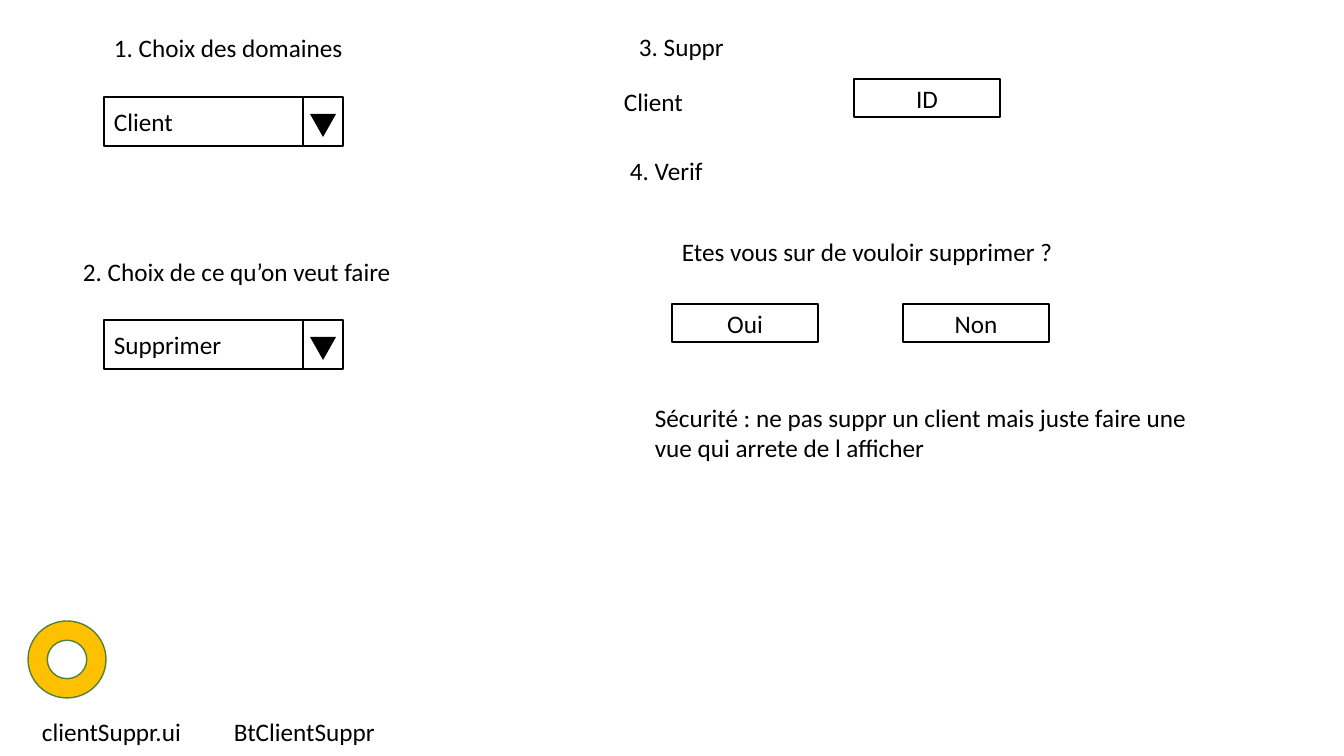
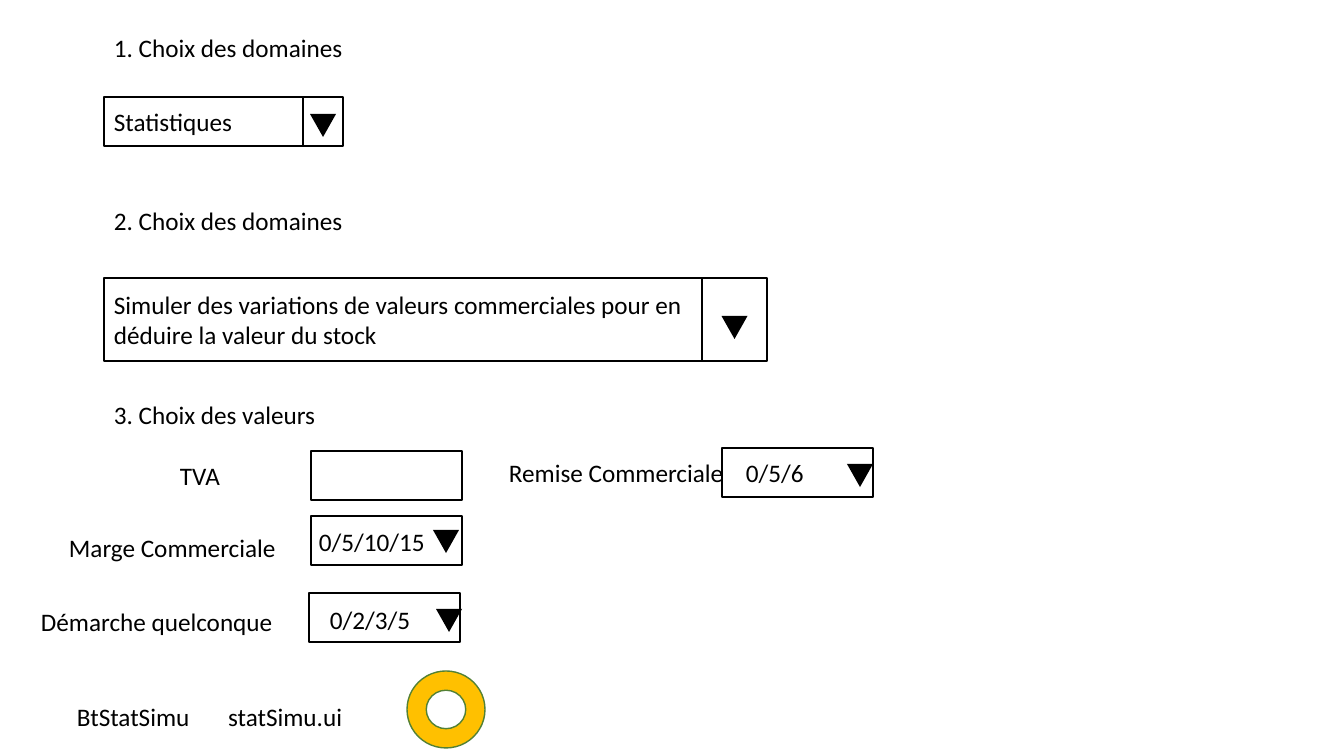
from dataclasses import dataclass

from pptx import Presentation
from pptx.dml.color import RGBColor
from pptx.enum.shapes import MSO_SHAPE
from pptx.enum.text import MSO_ANCHOR, PP_ALIGN
from pptx.util import Emu, Pt


@dataclass(frozen=True)
class Theme:
    ink: RGBColor = RGBColor(0x00, 0x00, 0x00)
    gold: RGBColor = RGBColor(0xFF, 0xC0, 0x00)
    green: RGBColor = RGBColor(0x53, 0x81, 0x35)
    font: str = "Calibri"
    size: Pt = Pt(18)
    line: Pt = Pt(1)


THEME = Theme()
EMU_PER_PX = 914400 / 100.8
SLIDE_W, SLIDE_H = 1344, 756
LEFT = 104
LINE_H = 40
ROW_H = 49
FIELD_W = 151
BUTTON_W, BUTTON_H = 146, 38
ARROW_W, ARROW_H = 26, 23
RING_W, RING_H = 78, 77

SLIDES = [
    {
        "headings": [
            ("1. Choix des domaines", LEFT, 27, 252),
            ("2. Choix de ce qu’on veut faire", 73, 251, 334),
            ("3. Suppr", 629, 26, 106),
            ("4. Verif", 620, 150, 94),
        ],
        "dropdowns": [
            ("Client", 97, 199, 40, ROW_H),
            ("Supprimer", 320, 199, 40, ROW_H),
        ],
        "buttons": [("ID", 854, 79), ("Oui", 672, 304), ("Non", 903, 304)],
        "texts": [
            ("Client", 614, 81, 240, LINE_H),
            ("Etes vous sur de vouloir supprimer ?", 672, 231, 463, LINE_H),
            ("Sécurité : ne pas suppr un client mais juste faire une "
             "vue qui arrete de l afficher", 645, 397, 564, 72),
            ("clientSuppr.ui", 32, 711, 165, LINE_H),
            ("BtClientSuppr", 224, 711, 182, LINE_H),
        ],
        "fields": [],
        "ring": (28, 621),
    },
    {
        "headings": [
            ("1. Choix des domaines", LEFT, 27, 252),
            ("2. Choix des domaines", LEFT, 200, 252),
            ("3. Choix des valeurs", LEFT, 394, 224),
        ],
        "dropdowns": [
            ("Statistiques", 97, 199, 40, ROW_H),
            ("Simuler des variations de valeurs commerciales pour en "
             "déduire la valeur du stock", 278, 598, 65, 83),
        ],
        "buttons": [],
        "texts": [("BtStatSimu\tstatSimu.ui", 67, 696, 672, LINE_H)],
        "fields": [
            {"label": ("TVA", 170, 451), "box": (311, 451)},
            {"label": ("Marge Commerciale", 59, 523), "box": (311, 516),
             "value": ("0/5/10/15", 309, 517), "arrow": (433, 530)},
            {"label": ("Démarche quelconque", 31, 597), "box": (309, 593),
             "value": ("0/2/3/5", 320, 595), "arrow": (436, 609)},
            {"label": ("Remise Commerciale", 499, 448), "box": (722, 448),
             "value": ("0/5/6", 736, 448), "arrow": (847, 464)},
        ],
        "ring": (407, 671),
    },
]


def px(n):
    return Emu(round(n * EMU_PER_PX))


def write(sp, text, align=PP_ALIGN.LEFT, anchor=MSO_ANCHOR.MIDDLE, wrap=True):
    tf = sp.text_frame
    tf.word_wrap = wrap
    tf.vertical_anchor = anchor
    p = tf.paragraphs[0]
    p.text = text
    p.alignment = align
    p.font.name = THEME.font
    p.font.size = THEME.size
    p.font.color.rgb = THEME.ink


def add_text(s, text, x, y, w, h=LINE_H, anchor=MSO_ANCHOR.TOP, wrap=True):
    sp = s.shapes.add_textbox(px(x), px(y), px(w), px(h))
    write(sp, text, anchor=anchor, wrap=wrap)


def add_shape(s, kind, x, y, w, h, fill=None, line=None):
    sp = s.shapes.add_shape(kind, px(x), px(y), px(w), px(h))
    sp.shadow.inherit = False
    if fill is None:
        sp.fill.background()
    else:
        sp.fill.solid()
        sp.fill.fore_color.rgb = fill
    if line is None:
        sp.line.fill.background()
    else:
        sp.line.color.rgb = line
        sp.line.width = THEME.line
    return sp


def add_box(s, x, y, w, h, text=None, align=PP_ALIGN.LEFT):
    sp = add_shape(s, MSO_SHAPE.RECTANGLE, x, y, w, h, line=THEME.ink)
    if text:
        write(sp, text, align)


def add_arrow(s, x, y):
    sp = add_shape(s, MSO_SHAPE.ISOSCELES_TRIANGLE, x, y, ARROW_W, ARROW_H, fill=THEME.ink)
    sp.rotation = 180


def add_dropdown(s, text, y, text_w, arrow_w, h):
    arrow_x = LEFT + text_w
    add_box(s, LEFT, y, text_w, h, text)
    add_box(s, arrow_x, y, arrow_w, h)
    add_arrow(s, arrow_x + (arrow_w - ARROW_W) / 2, y + (h - ARROW_H) / 2 + h // 10)


def add_field(s, label, box, value=None, arrow=None):
    add_text(s, *label, 278, ROW_H, MSO_ANCHOR.MIDDLE)
    add_box(s, *box, FIELD_W, ROW_H)
    if value:
        add_text(s, *value, 139, ROW_H, MSO_ANCHOR.MIDDLE)
    if arrow:
        add_arrow(s, *arrow)


def build_slide(prs, content):
    s = prs.slides.add_slide(prs.slide_layouts[6])
    for heading in content["headings"]:
        add_text(s, *heading, wrap=False)
    for dropdown in content["dropdowns"]:
        add_dropdown(s, *dropdown)
    for text, x, y in content["buttons"]:
        add_box(s, x, y, BUTTON_W, BUTTON_H, text, PP_ALIGN.CENTER)
    for text in content["texts"]:
        add_text(s, *text)
    for field in content["fields"]:
        add_field(s, **field)
    add_shape(s, MSO_SHAPE.DONUT, *content["ring"], RING_W, RING_H, THEME.gold, THEME.green)


def main():
    prs = Presentation()
    prs.slide_width, prs.slide_height = px(SLIDE_W), px(SLIDE_H)
    for content in SLIDES:
        build_slide(prs, content)
    prs.save("out.pptx")


if __name__ == "__main__":
    main()
